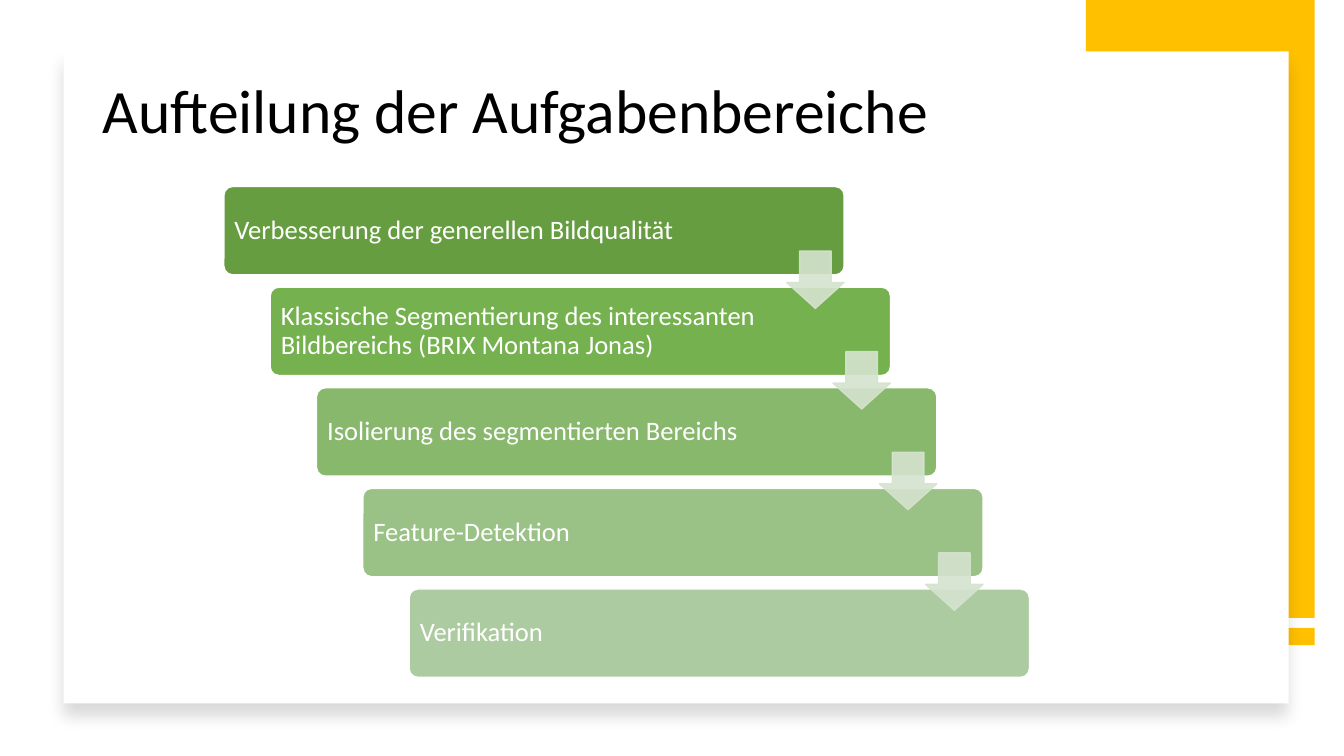
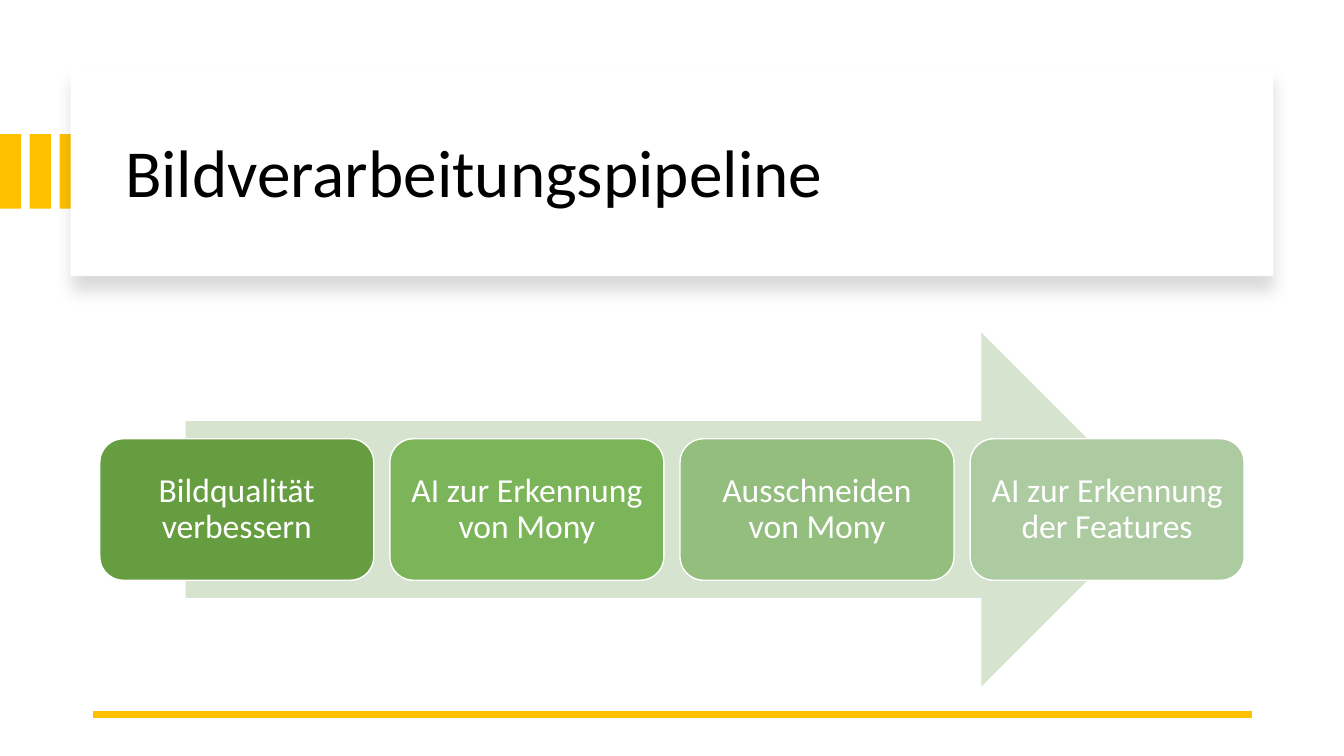
from lxml import etree
from pptx import Presentation
from pptx.dml.color import RGBColor
from pptx.enum.shapes import MSO_CONNECTOR as CONN, MSO_SHAPE as SHAPE
from pptx.enum.text import MSO_ANCHOR as ANCHOR, MSO_AUTO_SIZE as FIT, PP_ALIGN as ALIGN
from pptx.oxml.ns import qn
from pptx.util import Inches, Pt

FONT = "Calibri"
BLACK, WHITE, GOLD, PALE = "000000", "FFFFFF", "FFC000", "D5E3CF"
TITLE_ONLY = 5


def rgb(value):
    return RGBColor.from_string(value)


def inches(box):
    return [Inches(v) for v in box]


def set_alpha(fill_parent, percent):
    """Make the solid fill directly below an XML element translucent."""
    color = fill_parent.find(qn("a:solidFill")).find(qn("a:srgbClr"))
    etree.SubElement(color, qn("a:alpha"), val=str(percent * 1000))


def add_box(s, kind, box, fill, line=None, adj=(), alpha=None):
    sp = s.shapes.add_shape(kind, *inches(box))
    sp.shadow.inherit = False
    sp.fill.solid()
    sp.fill.fore_color.rgb = rgb(fill)
    if line:
        sp.line.color.rgb = rgb(line)
        sp.line.width = Pt(1)
    else:
        sp.line.fill.background()
    for i, value in enumerate(adj):
        sp.adjustments[i] = value
    if alpha:
        props = sp.element.spPr
        set_alpha(props, alpha)
        set_alpha(props.find(qn("a:ln")), alpha)
    return sp


def set_text(sp, text, size, color, align=ALIGN.LEFT, left=0.1, right=0.1, edge=0.05):
    tf = sp.text_frame
    frame = {
        "word_wrap": True, "auto_size": FIT.NONE, "vertical_anchor": ANCHOR.MIDDLE,
        "margin_left": Inches(left), "margin_right": Inches(right),
        "margin_top": Inches(edge), "margin_bottom": Inches(edge),
    }
    for name, value in frame.items():
        setattr(tf, name, value)
    p = tf.paragraphs[0]
    p.alignment, p.line_spacing = align, 0.9
    r = p.add_run()
    r.text = text
    r.font.name, r.font.size = FONT, Pt(size)
    r.font.color.rgb = rgb(color)


def add_card(s, box):
    """White panel with a soft shadow below it."""
    card = add_box(s, SHAPE.RECTANGLE, box, WHITE)
    effects = card.element.spPr.find(qn("a:effectLst"))
    shadow = etree.SubElement(
        effects, qn("a:outerShdw"), blurRad=str(Pt(11)), dist=str(Pt(10)),
        dir=str(90 * 60000), algn="t", rotWithShape="0")
    color = etree.SubElement(shadow, qn("a:srgbClr"), val=BLACK)
    etree.SubElement(color, qn("a:alpha"), val="15000")
    return card


def add_slide(prs, title, title_box, title_size, card_box, bands):
    s = prs.slides.add_slide(prs.slide_layouts[TITLE_ONLY])
    for band in bands:
        add_box(s, SHAPE.RECTANGLE, band, GOLD)
    card = add_card(s, card_box)
    sp = s.shapes.title
    sp.left, sp.top, sp.width, sp.height = inches(title_box)
    set_text(sp, title, title_size, BLACK)
    card.element.addnext(sp.element)
    return s


def add_rule(s, left, right, y, color, weight):
    rule = s.shapes.add_connector(CONN.STRAIGHT, *inches((left, y, right, y)))
    rule.line.color.rgb = rgb(color)
    rule.line.width = Pt(weight)
    etree.SubElement(rule.element.spPr, qn("a:effectLst"))


def add_staircase(s, box, steps):
    """Boxes stepping down to the right, each linked to the next by an arrow."""
    x, y, w, h = box
    step_w, step_h = 0.77 * w, 0.18 * h
    dx, dy = (w - step_w) / (len(steps) - 1), (h - step_h) / (len(steps) - 1)
    arrow = 0.65 * step_h
    for i, (text, fill) in enumerate(steps):
        sp = add_box(s, SHAPE.ROUNDED_RECTANGLE, (x + i * dx, y + i * dy, step_w, step_h),
                     fill, WHITE, adj=[0.1])
        set_text(sp, text, 19, WHITE, left=0.08, right=1.1, edge=0.08)
    for i in range(len(steps) - 1):
        add_box(s, SHAPE.DOWN_ARROW,
                (x + i * dx + step_w - arrow, y + i * dy + 0.73 * step_h, arrow, arrow),
                PALE, PALE, adj=[0.55, 0.45], alpha=90)


def add_pipeline(s, box, stages, gap=0.16):
    """Equal boxes in a row over one wide arrow."""
    x, y, w, h = box
    add_box(s, SHAPE.RIGHT_ARROW, (x + 0.075 * w, y, 0.85 * w, h), PALE)
    stage_w = (w - gap * (len(stages) - 1)) / len(stages)
    for i, (text, fill) in enumerate(stages):
        sp = add_box(s, SHAPE.ROUNDED_RECTANGLE,
                     (x + i * (stage_w + gap), y + 0.3 * h, stage_w, 0.4 * h), fill, WHITE)
        set_text(sp, text, 24, WHITE, ALIGN.CENTER, edge=0.1)


def tasks_slide(prs):
    s = add_slide(
        prs, "Aufteilung der Aufgabenbereiche", (0.92, 0.4, 11.5, 1.45), 44,
        card_box=(0.63, 0.51, 12.15, 6.47),
        bands=[(10.77, 0, 2.27, 6.13), (10.77, 6.23, 2.27, 0.17)])
    add_staircase(s, (2.22, 1.85, 7.99, 4.87), [
        ("Verbesserung der generellen Bildqualität", "669D40"),
        ("Klassische Segmentierung des interessanten Bildbereichs (BRIX Montana Jonas)", "75B14F"),
        ("Isolierung des segmentierten Bereichs", "87B86B"),
        ("Feature-Detektion", "9AC186"),
        ("Verifikation", "ADCBA0"),
    ])


def pipeline_slide(prs):
    s = add_slide(
        prs, "Bildverarbeitungspipeline", (1.14, 0.89, 11.13, 1.7), 48,
        card_box=(0.7, 0.67, 11.93, 2.07),
        bands=[(i * 0.295, 1.33, 0.21, 0.74) for i in range(3)])
    add_rule(s, 0.92, 12.42, 7.09, GOLD, 4.5)
    add_pipeline(s, (0.99, 3.3, 11.35, 3.51), [
        ("Bildqualität verbessern", "669D40"),
        ("AI zur Erkennung von Mony", "7BB459"),
        ("Ausschneiden von Mony", "94BE7D"),
        ("AI zur Erkennung der Features", "ADCBA0"),
    ])


def main():
    prs = Presentation()
    prs.slide_width, prs.slide_height = Inches(13.33), Inches(7.5)
    tasks_slide(prs)
    pipeline_slide(prs)
    prs.save("out.pptx")


if __name__ == "__main__":
    main()
